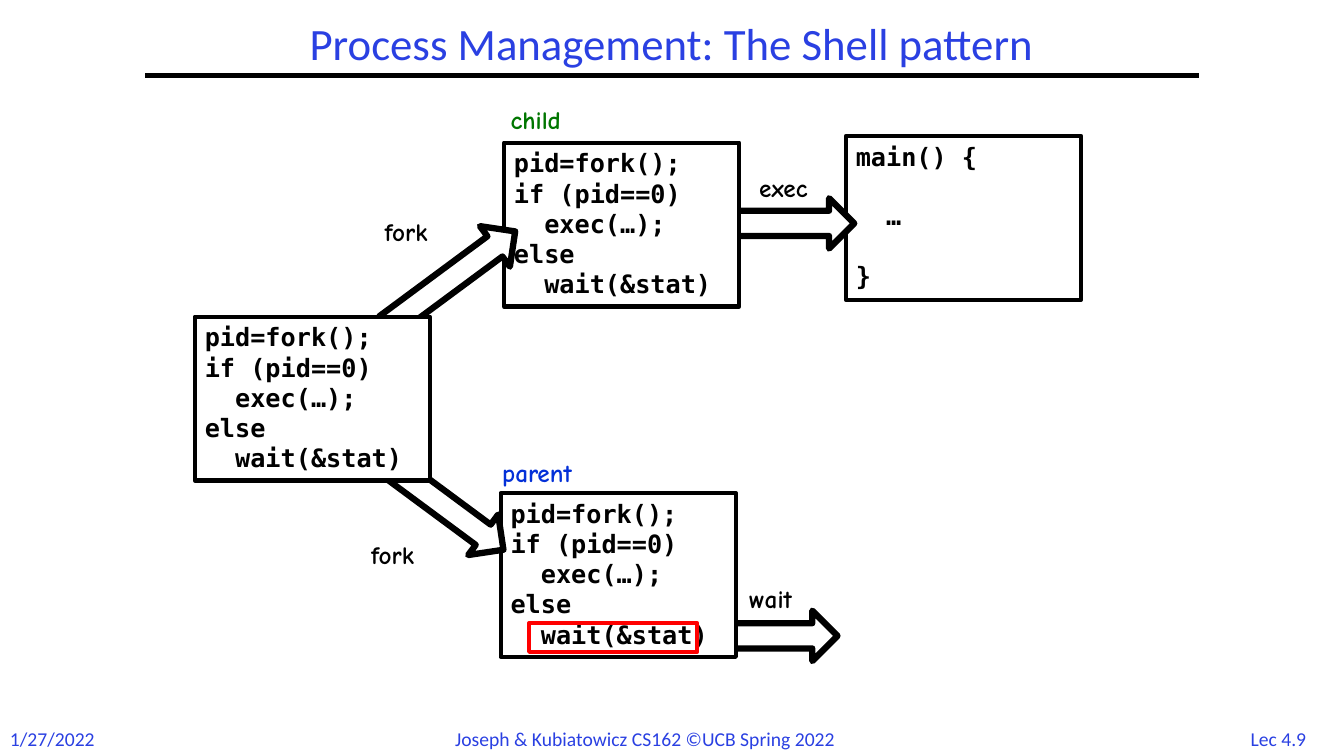
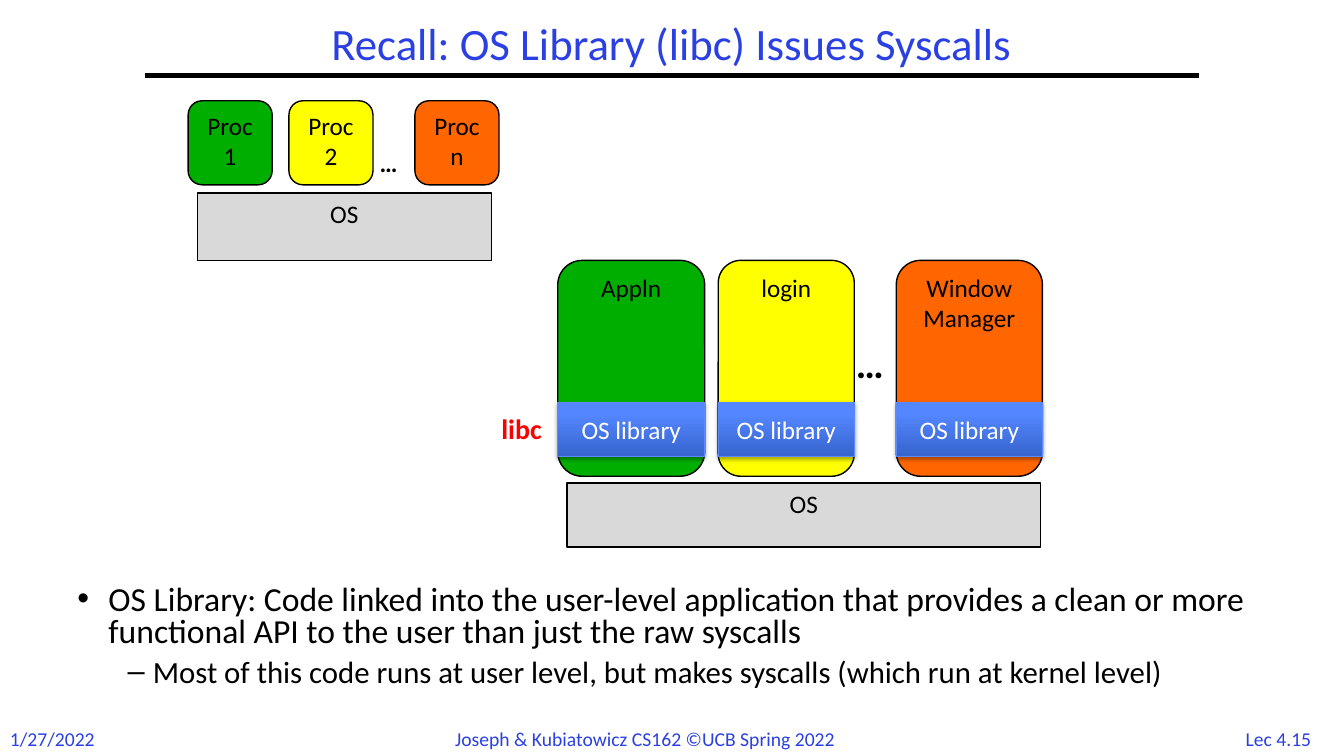
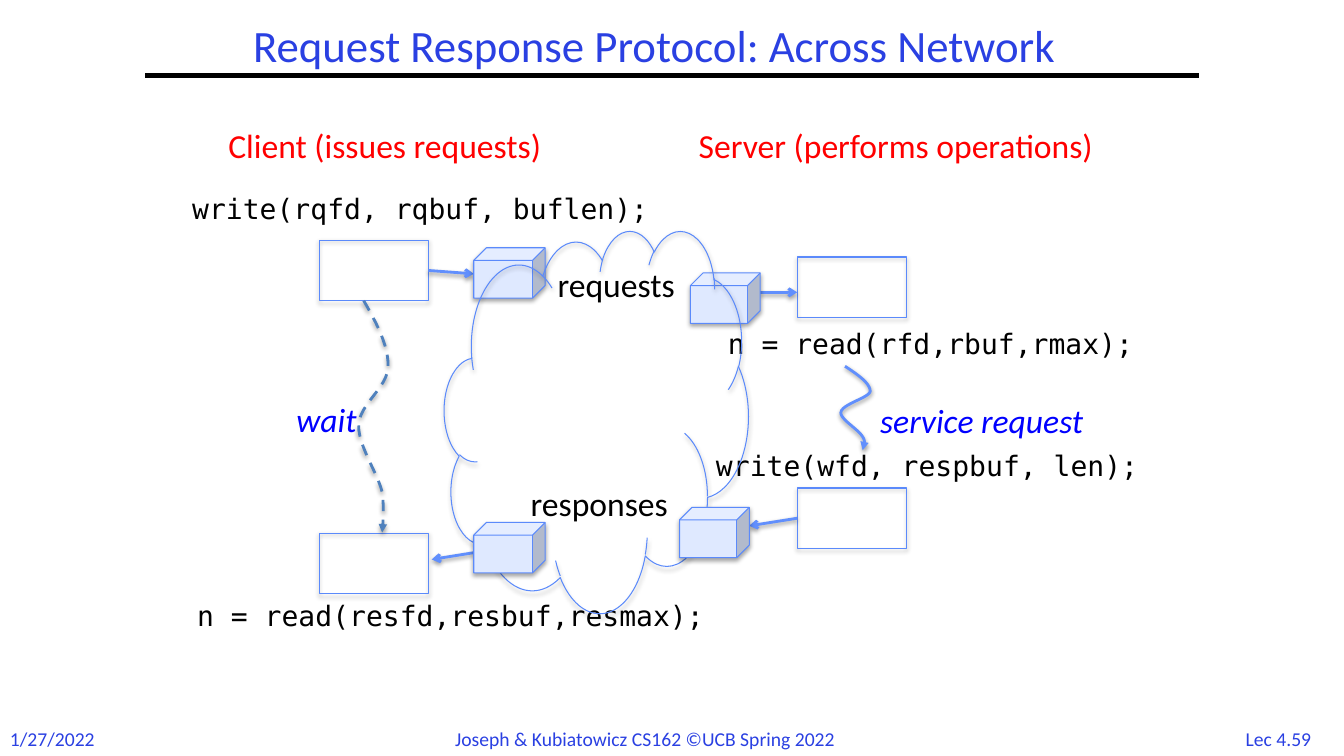
from dataclasses import dataclass

from lxml.etree import SubElement
from pptx import Presentation
from pptx.dml.color import RGBColor
from pptx.enum.dml import MSO_LINE as Dash
from pptx.enum.shapes import MSO_CONNECTOR as Wire, MSO_SHAPE as Kind
from pptx.enum.text import MSO_ANCHOR as Anchor, MSO_AUTO_SIZE as Auto, PP_ALIGN as Align
from pptx.oxml.ns import qn
from pptx.util import Inches, Pt

CELL = Inches(1) // 12
COLS, ROWS = 160, 90


@dataclass(frozen=True)
class Theme:
    blue: str = "2A40E2"
    black: str = "000000"
    white: str = "FFFFFF"
    red: str = "FF0000"
    green: str = "00AE00"
    yellow: str = "FFFF00"
    orange: str = "FF6600"
    grey: str = "D9D9D9"
    edge: str = "5B8AFB"
    link: str = "618FFD"
    steel: str = "4F81BD"
    pale: str = "DFE9FF"
    deep: str = "3764CE"
    bright: str = "5487FF"
    child: str = "007600"
    parent: str = "0330D8"
    state: str = "0000FF"
    sans: str = "Calibri"
    mono: str = "DejaVu Sans Mono"
    hand: str = "Comic Neue"
    foot: int = 14
    small: int = 18
    mid: int = 20
    sub: int = 22
    large: int = 24
    dots: int = 28
    title: int = 32


T = Theme()


@dataclass(frozen=True)
class Box:
    x: float
    y: float
    w: float = 0
    h: float = 0

    def sub(self, x, y, w=0, h=0):
        return Box(self.x + x, self.y + y, w, h)

    def emu(self):
        return [round(v * CELL) for v in (self.x, self.y, self.w, self.h)]


def font(name=T.sans, size=T.small, color=T.black, **more):
    return dict(name=name, size=Pt(size), color=color, **more)


CODE = font(T.mono, bold=True)
CALL = font(T.mono, T.mid)
NOTE = font(size=T.large)
FORK = "pid=fork();\nif (pid==0)\n  exec(…);\nelse\n  wait(&stat)"
GLOW = dict(blurRad="40000", dist="23000", dir="5400000", rotWithShape="0")


def style(item, fmt):
    for key, val in fmt.items():
        if key == "color":
            item.color.rgb = RGBColor.from_string(val)
        else:
            setattr(item, key, val)


def write(shape, text, fmt, align=Align.LEFT, wrap=True, anchor=Anchor.TOP):
    frame = shape.text_frame
    style(frame, dict(text=text, word_wrap=wrap, auto_size=Auto.NONE, vertical_anchor=anchor))
    for para in frame.paragraphs:
        para.alignment = align
        for run in para.runs:
            style(run.font, fmt)
    return frame


def label(slide, box, text, fmt, align=Align.LEFT, wrap=False):
    return write(slide.shapes.add_textbox(*box.emu()), text, fmt, align, wrap)


def shade(shape, alpha):
    props = shape.element.spPr
    list_ = props.find(qn("a:effectLst"))
    if list_ is None:
        list_ = SubElement(props, qn("a:effectLst"))
    if alpha:
        cast = SubElement(list_, qn("a:outerShdw"), **GLOW)
        tint = SubElement(cast, qn("a:srgbClr"), val=T.black)
        SubElement(tint, qn("a:alpha"), val=str(alpha * 1000))


def stroke(shape, color, width, tail=None, dash=None):
    line = shape.line
    style(line, dict(color=color, width=Pt(width)))
    if dash:
        line.dash_style = dash
    if tail:
        SubElement(shape.element.spPr.find(qn("a:ln")), qn("a:tailEnd"), type=tail)


def draw(slide, kind, box, fill=None, edge=T.black, width=1, glow=0):
    shape = slide.shapes.add_shape(kind, *box.emu())
    shape.shadow.inherit = False
    if fill:
        shape.fill.solid()
        shape.fill.fore_color.rgb = RGBColor.from_string(fill)
    else:
        shape.fill.background()
    stroke(shape, edge, width)
    shade(shape, glow)
    return shape


def wire(slide, start, end, color, width, tail=None, glow=0):
    line = slide.shapes.add_connector(Wire.STRAIGHT, *start.emu()[:2], *end.emu()[:2])
    stroke(line, color, width, tail)
    shade(line, glow)
    return line


def curve(slide, box, start, parts, color, dash=None):
    dots, here = [], start
    for one, two, end in parts:
        for step in range(1, 13):
            t = step / 12
            mix = ((1 - t) ** 3, 3 * t * (1 - t) ** 2, 3 * t * t * (1 - t), t ** 3)
            spot = [sum(m * p[k] for m, p in zip(mix, (here, one, two, end))) for k in (0, 1)]
            dots.append(box.sub(*spot).emu()[:2])
        here = end
    path = slide.shapes.build_freeform(*box.sub(*start).emu()[:2])
    path.add_line_segments(dots, close=False)
    shape = path.convert_to_shape()
    shape.shadow.inherit = False
    shape.fill.background()
    stroke(shape, color, 2, "triangle", dash)
    shade(shape, 38)


def place(holder, box):
    style(holder, dict(zip(("left", "top", "width", "height"), box.emu())))


def base(deck, layout, title, page, box=Box(17.3, 2, 125.3, 7)):
    slide = deck.slides.add_slide(deck.slide_layouts[layout])
    place(slide.shapes.title, box)
    frame = write(slide.shapes.title, title, font(size=T.title, color=T.blue),
                  Align.CENTER, anchor=Anchor.MIDDLE)
    frame.paragraphs[0].line_spacing = 0.9
    wire(slide, Box(17.3, 9), Box(142.7, 9), T.black, 3)
    foot = Box(0, 85.9)
    for x, wide, text, align in (
        (0, 12.8, "1/27/2022", Align.LEFT),
        (53, 54, "Joseph & Kubiatowicz CS162 ©UCB Spring 2022", Align.LEFT),
        (146.4, 11.6, page, Align.CENTER),
    ):
        label(slide, foot.sub(x, 0, wide, 4), text, font(size=T.foot, color=T.blue), align)
    return slide


def code(slide, box, text=FORK, fill=T.white):
    shape = draw(slide, Kind.RECTANGLE, box.sub(0, 0, 28, 19.5), fill, width=3)
    return write(shape, text, CODE)


def arrow(slide, box, turn=0):
    draw(slide, Kind.RIGHT_ARROW, box, T.white, width=4.5).rotation = turn


def shell(deck):
    slide = base(deck, 5, "Process Management: The Shell pattern", "Lec 4.9")
    flow = Box(0, 11)
    arrow(slide, flow.sub(85.7, 61.7, 14, 6))
    main = code(slide, flow.sub(100.7, 5.2), "main() {\n  …\n}", None)
    for para in main.paragraphs[1:]:
        para.space_before = Pt(21)
    arrow(slide, flow.sub(87.7, 12.6, 14, 6))
    parent = flow.sub(59.6, 47.7)
    code(slide, parent)
    draw(slide, Kind.RECTANGLE, parent.sub(3.4, 15.5, 20, 3.4), None, T.red, 3)
    code(slide, flow.sub(60, 6))
    arrow(slide, flow.sub(44.2, 19.2, 19, 6), -36.5)
    arrow(slide, flow.sub(42.8, 45.8, 19, 6), 36.5)
    code(slide, flow.sub(23.2, 26.7))
    for x, y, wide, text, color in (
        (59.6, 0.8, 9.5, "child", T.child),
        (58.6, 42.9, 11.9, "parent", T.parent),
        (44.6, 14.2, 8.6, "fork", T.black),
        (43, 52.6, 8.6, "fork", T.black),
        (88, 57.8, 8.5, "wait", T.black),
        (89.2, 8.9, 9.1, "exec", T.black),
    ):
        label(slide, flow.sub(x, y, wide, 4.8), text, font(T.hand, color=color, bold=True))


def block(slide, kind, box, text, fill):
    write(draw(slide, kind, box, fill), text, font(), Align.CENTER)


def procs(slide, box):
    block(slide, Kind.RECTANGLE, box.sub(1.1, 11, 35, 8), "OS", T.grey)
    for x, text, fill in ((0, "Proc 1", T.green), (12, "Proc 2", T.yellow), (27, "Proc n", T.orange)):
        block(slide, Kind.ROUNDED_RECTANGLE, box.sub(x, 0, 10, 10), text, fill)
    label(slide, box.sub(21.6, 5, 5.4, 4.8), "…", font(bold=True))


def apps(slide, box):
    block(slide, Kind.RECTANGLE, box.sub(1.1, 26.5, 56.4, 7.6), "OS", T.grey)
    for x, wide, text, fill in (
        (0, 17.5, "Appln", T.green),
        (19.1, 16.2, "login", T.yellow),
        (40.3, 17.4, "Window Manager", T.orange),
    ):
        block(slide, Kind.ROUNDED_RECTANGLE, box.sub(x, 0, wide, 25.7), text, fill)
        band = draw(slide, Kind.RECTANGLE, box.sub(x, 16.9, wide, 6.4), T.bright, T.edge, 0.75, 35)
        band.fill.gradient()
        band.fill.gradient_angle = 90
        for stop, spot, color in zip(band.fill.gradient_stops, (0, 0.8), (T.deep, T.bright)):
            style(stop, dict(position=spot, color=color))
        write(band, "OS library", font(color=T.white), Align.CENTER, anchor=Anchor.MIDDLE)
    label(slide, box.sub(34.3, 8.8, 7.8, 6.8), "…", font(size=T.dots, bold=True), wrap=True)
    label(slide, box.sub(-8.9, 17.4, 8.2, 5.3), "libc",
          font(size=T.mid, color=T.red, bold=True), Align.RIGHT)


def points(slide, box, rows):
    body = slide.placeholders[1]
    place(body, box)
    frame = write(body, "\n".join(text for _, text in rows), font())
    looks = ((0.31, 0.31, "•", T.large), (0.75, 0.25, "–", T.sub))
    for rank, (para, (level, _)) in enumerate(zip(frame.paragraphs, rows)):
        left, hang, mark, size = looks[level]
        props = para._p.get_or_add_pPr()
        props.set("marL", str(Inches(left)))
        props.set("indent", str(-Inches(hang)))
        SubElement(props, qn("a:buChar"), char=mark)
        style(para, dict(level=level, line_spacing=0.8, space_before=Pt(7 if rank else 0)))
        for run in para.runs:
            style(run.font, font(size=size))


def calls(deck):
    slide = base(deck, 1, "Recall: OS Library (libc) Issues Syscalls", "Lec 4.15")
    points(slide, Box(8, 69.1, 148, 13.8), (
        (0, "OS Library: Code linked into the user-level application that provides a clean or more "
            "functional API to the user than just the raw syscalls"),
        (1, "Most of this code runs at user level, but makes syscalls (which run at kernel level)"),
    ))
    procs(slide, Box(22.4, 12))
    apps(slide, Box(66.4, 31))


def side(slide, box, head, lines, align, slots, state, trail):
    x, wide, text = head
    label(slide, box.sub(x, 0.3, wide, 6), text, font(size=T.large, color=T.red))
    for x, y, wide, text in lines:
        label(slide, box.sub(x, y, wide, 5.3), text, CALL, align, True)
    ends = [draw(slide, Kind.RECTANGLE, box.sub(*spot, 13, 7.2), None, T.edge, 0.75, 35)
            for spot in slots]
    curve(slide, box, *trail)
    x, y, wide, text = state
    label(slide, box.sub(x, y, wide, 6), text, font(size=T.large, color=T.state, italic=True))
    return ends


def cloud(slide, box):
    for kind, spot, fill in (
        (Kind.CUBE, (4.4, 2.5, 8.5, 6), T.pale),
        (Kind.CUBE, (30.2, 5.5, 8.3, 6), T.pale),
        (Kind.CLOUD, (0.9, 0.4, 36.2, 45.5), None),
        (Kind.CUBE, (28.9, 33.4, 8.3, 6), T.pale),
        (Kind.CUBE, (4.4, 35.2, 8.5, 6), T.pale),
    ):
        draw(slide, kind, box.sub(*spot), fill, T.edge, 0.75, 35)
    label(slide, box.sub(13.2, 3.8, 17.9, 6), "requests", NOTE)
    label(slide, box.sub(10, 29.9, 21.1, 6), "responses", NOTE)


def network(deck):
    slide = base(deck, 5, "Request Response Protocol: Across Network", "Lec 4.59",
                 Box(14.8, 0, 126.2, 11.5))
    client = side(
        slide, Box(20, 14), (6, 44.6, "Client (issues requests)"),
        ((1.7, 8.2, 58.9, "write(rqfd, rqbuf, buflen);"),
         (2.3, 56.7, 65.8, "n = read(resfd,resbuf,resmax);")),
        Align.LEFT, ((18, 14.6), (18, 49.5)), (14.1, 32.9, 9.6, "wait"),
        ((23.3, 21.8), (
            ((24.8, 24.4), (26.3, 27.2), (26.2, 29.7)),
            ((26.1, 32.2), (22.8, 34.1), (22.7, 36.6)),
            ((22.6, 39), (25, 42.4), (25.5, 44.6)),
            ((25.8, 46.7), (25.5, 49.4), (25.5, 49.4)),
        ), T.steel, Dash.DASH))
    server = side(
        slide, Box(78, 14), (4, 54.1, "Server (performs operations)"),
        ((1.8, 24.3, 58.3, "n = read(rfd,rbuf,rmax); "),
         (1.8, 38.8, 58.9, "write(wfd, respbuf, len); ")),
        Align.RIGHT, ((16.9, 16.6), (16.9, 44.1)), (25.6, 33, 29.9, "service request"),
        ((22.6, 29.6), (
            ((24.1, 30.6), (25.6, 31.6), (25.6, 32.6)),
            ((25.4, 33.4), (22.2, 34.1), (22.1, 35.1)),
            ((22, 35.9), (24.2, 37.1), (24.7, 38)),
            ((25.2, 38.7), (24.7, 39.6), (24.7, 39.6)),
        ), T.link))
    links = [wire(slide, Box(*start), Box(*end), T.link, 2, "arrow", 38) for start, end in (
        ((51, 32.2), (56.4, 32.6)),
        ((90.5, 34.8), (94.9, 34.8)),
        ((56.4, 65.8), (51.4, 66.6)),
        ((94.9, 61.7), (89.2, 62.6)),
    )]
    links[0].begin_connect(client[0], 3)
    links[3].begin_connect(server[1], 1)
    cloud(slide, Box(52, 27))


def main():
    deck = Presentation()
    style(deck, dict(slide_width=COLS * CELL, slide_height=ROWS * CELL))
    for make in (shell, calls, network):
        make(deck)
    deck.save("out.pptx")


if __name__ == "__main__":
    main()
